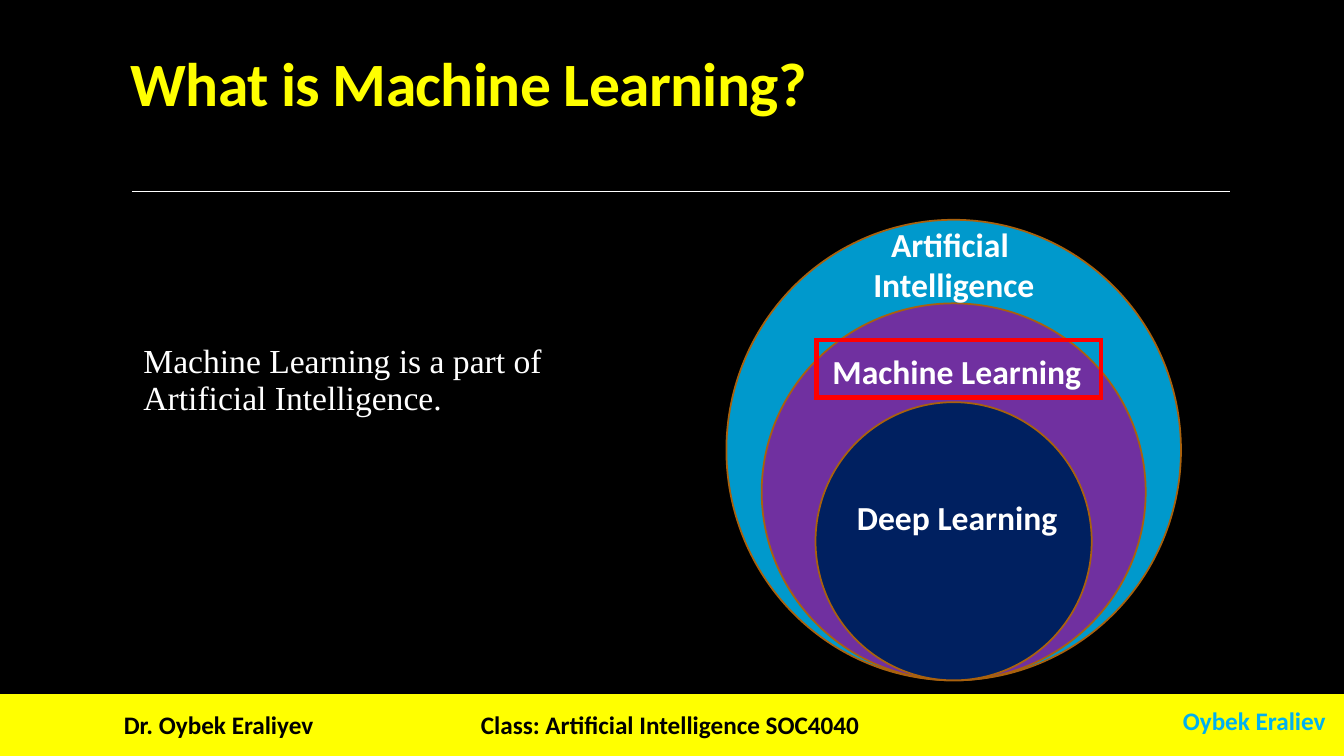
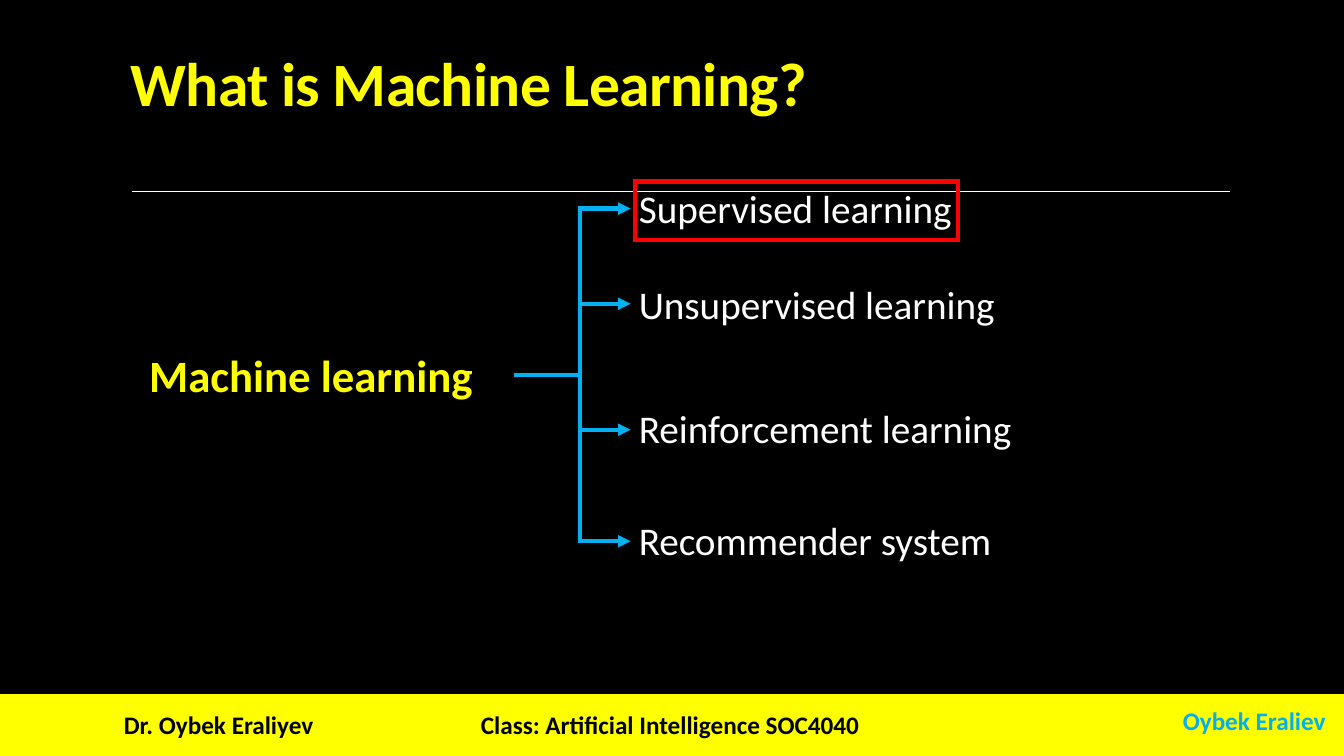
from itertools import pairwise

from lxml import etree
from pptx import Presentation
from pptx.dml.color import RGBColor
from pptx.enum.shapes import MSO_CONNECTOR, MSO_SHAPE
from pptx.enum.text import MSO_ANCHOR, MSO_AUTO_SIZE, PP_ALIGN
from pptx.oxml.ns import qn
from pptx.util import Pt

RECTANGLE, OVAL = MSO_SHAPE.RECTANGLE, MSO_SHAPE.OVAL
STRAIGHT = MSO_CONNECTOR.STRAIGHT
LEFT, CENTER = PP_ALIGN.LEFT, PP_ALIGN.CENTER
BOTTOM = MSO_ANCHOR.BOTTOM
GROW, FIXED = MSO_AUTO_SIZE.SHAPE_TO_FIT_TEXT, MSO_AUTO_SIZE.NONE

COLORS = {
    "background": "000000",
    "yellow": "FFFF00",
    "white": "FFFFFF",
    "black": "000000",
    "cyan": "00B0F0",
    "red": "FF0000",
    "outline": "A9610D",
    "blue": "0099CC",
    "purple": "7030A0",
    "navy": "002060",
}
WIDTH, HEIGHT = 960, 540
TITLE = "What is Machine Learning?"


def rgb(name):
    return RGBColor.from_string(COLORS[name])


class Deck:
    def __init__(self):
        self.presentation = Presentation()
        self.presentation.slide_width = Pt(WIDTH)
        self.presentation.slide_height = Pt(HEIGHT)
        self.slide = None

    def start_slide(self, title):
        layout = self.presentation.slide_layouts[6]
        self.slide = self.presentation.slides.add_slide(layout)
        fill = self.slide.background.fill
        fill.solid()
        fill.fore_color.rgb = rgb("background")
        self.shape(RECTANGLE, 0, 495.8, WIDTH, HEIGHT - 495.8, fill="yellow")
        self.line(94.3, 136.8, 878.7, 136.8, "white", 0.5)
        footers = [
            ("Dr. Oybek Eraliyev", 81.4, 503.3, 151.2, "black"),
            ("Class: Artificial Intelligence SOC4040", 336.4, 503.3, 287.3, "black"),
            ("Oybek Eraliev", 837.8, 500.4, 117.4, "cyan"),
        ]
        for text, left, top, width, color in footers:
            self.text(text, left, top, width, 28.8, 18, color, bold=True, wrap=False)
        self.title(title)

    def title(self, text):
        frame = self.text(text, 86.4, 21.6, 828, 67, 44, "yellow", bold=True, grow=False)
        frame.vertical_anchor = BOTTOM
        paragraph = frame.paragraphs[0]
        paragraph.line_spacing = 0.85
        for run in paragraph.runs:
            run._r.get_or_add_rPr().set("spc", "-50")

    def text(self, text, left, top, width, height, size, color, bold=False,
             font="Calibri", align=LEFT, wrap=True, grow=True):
        box = self.slide.shapes.add_textbox(Pt(left), Pt(top), Pt(width), Pt(height))
        frame = box.text_frame
        frame.text = text
        frame.word_wrap = wrap
        frame.auto_size = GROW if grow else FIXED
        for paragraph in frame.paragraphs:
            paragraph.alignment = align
            for run in paragraph.runs:
                run.font.name = font
                run.font.size = Pt(size)
                run.font.bold = bold
                run.font.color.rgb = rgb(color)
        return frame

    def body(self, text, left, top, width, height, inset_left, inset_top):
        frame = self.text(text, left, top, width, height, 24, "white",
                          font="Times New Roman", grow=False)
        frame.margin_left, frame.margin_right = Pt(inset_left), 0
        frame.margin_top = Pt(inset_top)
        frame.paragraphs[0].line_spacing = Pt(26.4)

    def shape(self, kind, left, top, width, height, fill, line=None):
        shape = self.slide.shapes.add_shape(kind, Pt(left), Pt(top), Pt(width), Pt(height))
        shape.shadow.inherit = False
        shape.fill.solid()
        shape.fill.fore_color.rgb = rgb(fill)
        if line:
            shape.line.color.rgb = rgb(line)
            shape.line.width = Pt(1.25)
        else:
            shape.line.fill.background()

    def highlight(self, left, top, right, bottom, weight=3):
        half = weight / 2
        for y in (top, bottom):
            self.line(left - half, y, right + half, y, "red", weight)
        for x in (left, right):
            self.line(x, top, x, bottom, "red", weight)

    def line(self, x1, y1, x2, y2, color, weight, arrow=False):
        connector = self.slide.shapes.add_connector(STRAIGHT, Pt(x1), Pt(y1), Pt(x2), Pt(y2))
        connector.line.color.rgb = rgb(color)
        connector.line.width = Pt(weight)
        if arrow:
            outline = connector.line._get_or_add_ln()
            etree.SubElement(outline, qn("a:tailEnd")).set("type", "triangle")
        etree.SubElement(connector._element.spPr, qn("a:effectLst"))


def build_nested_fields(deck):
    deck.start_slide(TITLE)
    deck.body("Machine Learning is a part of Artificial Intelligence.",
              95, 200.2, 295.2, 256.3, 7.5, 45.2)
    center, bottom = 681.2, 486
    circles = [("blue", 324.7, 329), ("purple", 274.3, 269.3), ("navy", 197.3, 198.7)]
    for color, width, height in circles:
        deck.shape(OVAL, center - width / 2, bottom - height, width, height, color, "outline")
    labels = [
        ("Artificial \nIntelligence", 610.4, 156.2, 141.8, 65.5, CENTER, True),
        ("Machine Learning", 587.5, 247, 193.7, 36, LEFT, False),
        ("Deep Learning", 605, 351.4, 159.1, 36, LEFT, False),
    ]
    for text, left, top, width, height, align, wrap in labels:
        deck.text(text, left, top, width, height, 24, "white", bold=True, align=align, wrap=wrap)
    deck.highlight(583.2, 242.6, 786.4, 284)


def build_learning_types(deck):
    deck.start_slide(TITLE)
    deck.text("Machine learning", 99.4, 244.8, 267.8, 46, 32, "yellow", bold=True)
    branches = [
        ("Supervised learning", 128.2, 149),
        ("Unsupervised learning", 196.6, 217),
        ("Reinforcement learning", 285.1, 307),
        ("Recommender system", 365, 386.6),
    ]
    trunk, root, weight = 414.5, 268, 3
    deck.line(367.5, root, trunk, root, "cyan", weight)
    joints = [branches[0][2], root, branches[2][2], branches[3][2] + weight / 2]
    for start, end in pairwise(joints):
        deck.line(trunk, start, trunk, end, "cyan", weight)
    for text, top, y in branches:
        deck.text(text, 449.2, top, 319.7, 41, 28, "white")
        deck.line(trunk - weight / 2, y, 450.5, y, "cyan", weight, arrow=True)
    deck.highlight(453.6, 129.6, 684.4, 171.2)


def main():
    deck = Deck()
    build_nested_fields(deck)
    build_learning_types(deck)
    deck.presentation.save("out.pptx")


if __name__ == "__main__":
    main()
